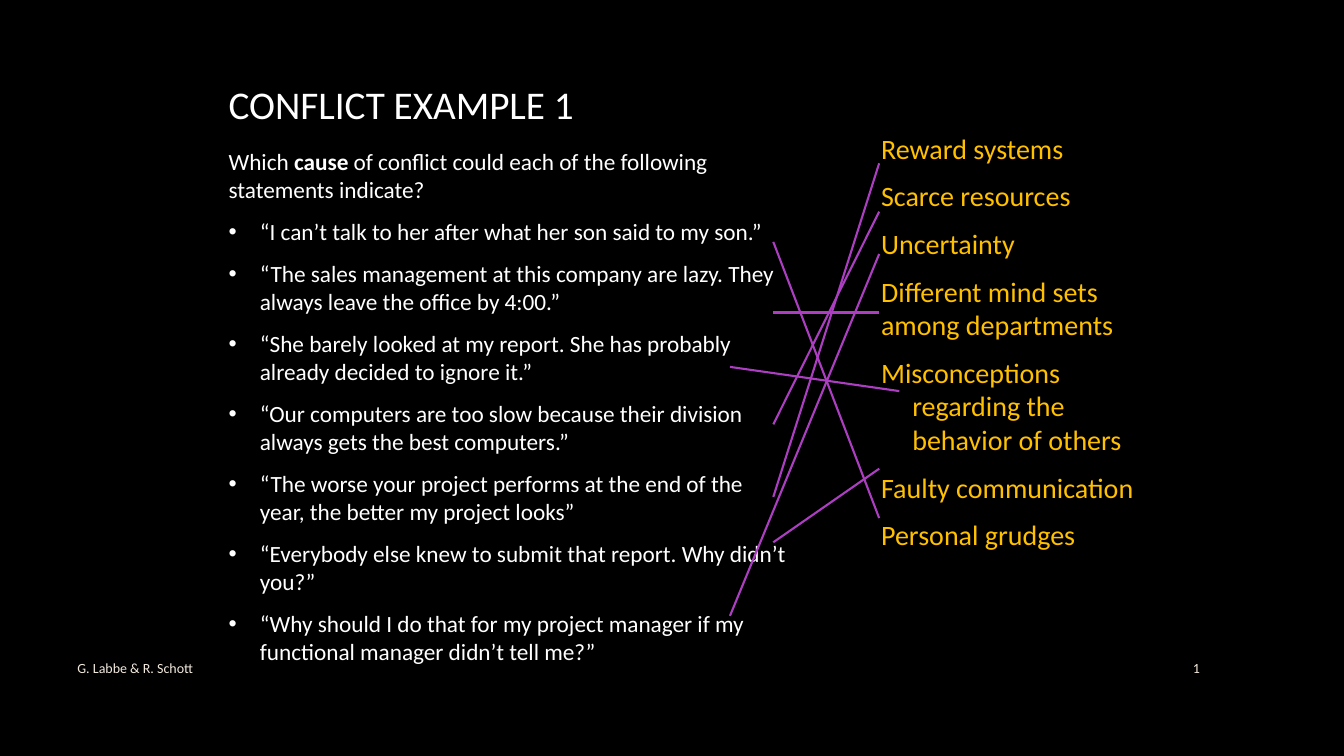
from dataclasses import dataclass

from lxml.etree import SubElement
from pptx import Presentation
from pptx.dml.color import RGBColor
from pptx.enum.shapes import MSO_CONNECTOR
from pptx.enum.text import MSO_ANCHOR, PP_ALIGN
from pptx.oxml.ns import qn
from pptx.slide import Slide
from pptx.text.text import TextFrame
from pptx.util import Inches, Pt

BLACK = RGBColor(0x00, 0x00, 0x00)
WHITE = RGBColor(0xFF, 0xFF, 0xFF)
CREAM = RGBColor(0xF3, 0xEA, 0xDE)
GOLD = RGBColor(0xFF, 0xC0, 0x00)
PURPLE = RGBColor(0xAC, 0x3E, 0xC1)
FONT = "Calibri"
HANGING = Inches(0.31)


@dataclass(frozen=True)
class Style:
    size: float
    color: RGBColor
    space_after: float = 0
    line_height: float | None = None
    align: PP_ALIGN = PP_ALIGN.LEFT


@dataclass(frozen=True)
class Span:
    text: str
    bold: bool = False


@dataclass(frozen=True)
class Para:
    spans: tuple[Span, ...]
    hanging: bool = False
    bullet: bool = False


@dataclass(frozen=True)
class Match:
    """A line from a statement on the left to its cause on the right."""
    start: tuple[float, float]
    end: tuple[float, float]


TITLE_STYLE = Style(28, WHITE)
STATEMENT_STYLE = Style(16.6, WHITE, space_after=10, line_height=20)
CAUSE_STYLE = Style(20, GOLD, space_after=10)
FOOTER_STYLE = Style(10, CREAM)
NUMBER_STYLE = Style(10, CREAM, align=PP_ALIGN.RIGHT)

QUESTION = Para((
    Span("Which "),
    Span("cause", bold=True),
    Span(" of conflict could each of the following statements indicate?"),
))
STATEMENTS = (
    "“I can’t talk to her after what her son said to my son.”",
    "“The sales management at this company are lazy. They always leave the office by 4:00.”",
    "“She barely looked at my report. She has probably already decided to ignore it.”",
    "“Our computers are too slow because their division always gets the best computers.”",
    "“The worse your project performs at the end of the year, the better my project looks”",
    "“Everybody else knew to submit that report. Why didn’t you?”",
    "“Why should I do that for my project manager if my functional manager didn’t tell me?”",
)
PLAIN_CAUSES = (
    "Reward systems",
    "Scarce resources",
    "Uncertainty",
    "Different mind sets among departments",
)
HANGING_CAUSES = (
    "Misconceptions regarding the behavior of others",
    "Faulty communication",
    "Personal grudges",
)
MATCHES = (
    Match((7.67, 4.21), (8.72, 2.1)),
    Match((7.67, 2.4), (8.72, 5.14)),
    Match((7.67, 4.93), (8.72, 1.62)),
    Match((7.67, 3.1), (8.72, 3.1)),
    Match((7.24, 3.64), (8.92, 3.88)),
    Match((7.67, 5.38), (8.72, 4.65)),
    Match((7.24, 6.11), (8.72, 2.52)),
)


def line_of(text: str, hanging: bool = False, bullet: bool = False) -> Para:
    return Para((Span(text),), hanging, bullet)


def add_text(page: Slide, left: float, top: float, width: float, height: float,
             paras: list[Para], style: Style) -> TextFrame:
    box = page.shapes.add_textbox(Inches(left), Inches(top), Inches(width), Inches(height))
    frame = box.text_frame
    frame.word_wrap = True
    frame.vertical_anchor = MSO_ANCHOR.MIDDLE
    for index, para in enumerate(paras):
        paragraph = frame.add_paragraph() if index else frame.paragraphs[0]
        properties = paragraph._p.get_or_add_pPr()
        if para.hanging:
            properties.set("marL", str(HANGING))
            properties.set("indent", str(-HANGING))
        paragraph.alignment = style.align
        if style.line_height:
            paragraph.line_spacing = Pt(style.line_height)
        paragraph.space_after = Pt(style.space_after)
        if para.bullet:
            SubElement(properties, qn("a:buFont"), typeface="Arial")
            SubElement(properties, qn("a:buChar"), char="•")
        for span in para.spans:
            run = paragraph.add_run()
            run.text = span.text
            run.font.name = FONT
            run.font.size = Pt(style.size)
            run.font.bold = span.bold
            run.font.color.rgb = style.color
    return frame


def add_match(page: Slide, match: Match) -> None:
    ends = [Inches(value) for value in match.start + match.end]
    connector = page.shapes.add_connector(MSO_CONNECTOR.STRAIGHT, *ends)
    connector.line.color.rgb = PURPLE
    connector.line.width = Pt(1.5)
    SubElement(connector._element.spPr, qn("a:effectLst"))


def main() -> None:
    deck = Presentation()
    deck.slide_width = Inches(13.33)
    deck.slide_height = Inches(7.5)
    page = deck.slides.add_slide(deck.slide_layouts[6])
    page.background.fill.solid()
    page.background.fill.fore_color.rgb = BLACK

    add_text(page, 2.17, 0.67, 8.5, 0.72, [line_of("CONFLICT EXAMPLE 1")], TITLE_STYLE)
    statements = [line_of(text, hanging=True, bullet=True) for text in STATEMENTS]
    frame = add_text(page, 2.17, 1.62, 5.76, 5.21, [QUESTION, *statements], STATEMENT_STYLE)
    frame.vertical_anchor = MSO_ANCHOR.BOTTOM
    frame.margin_bottom = Inches(0.23)
    add_text(page, 0.67, 6.42, 8.73, 0.41, [line_of("G. Labbe & R. Schott")], FOOTER_STYLE)
    add_text(page, 11.39, 6.42, 0.61, 0.41, [line_of("1")], NUMBER_STYLE)
    causes = [line_of(text) for text in PLAIN_CAUSES]
    causes += [line_of(text, hanging=True) for text in HANGING_CAUSES]
    add_text(page, 8.64, 1.39, 2.91, 3.99, causes, CAUSE_STYLE)
    for match in MATCHES:
        add_match(page, match)

    deck.save("out.pptx")


if __name__ == "__main__":
    main()
